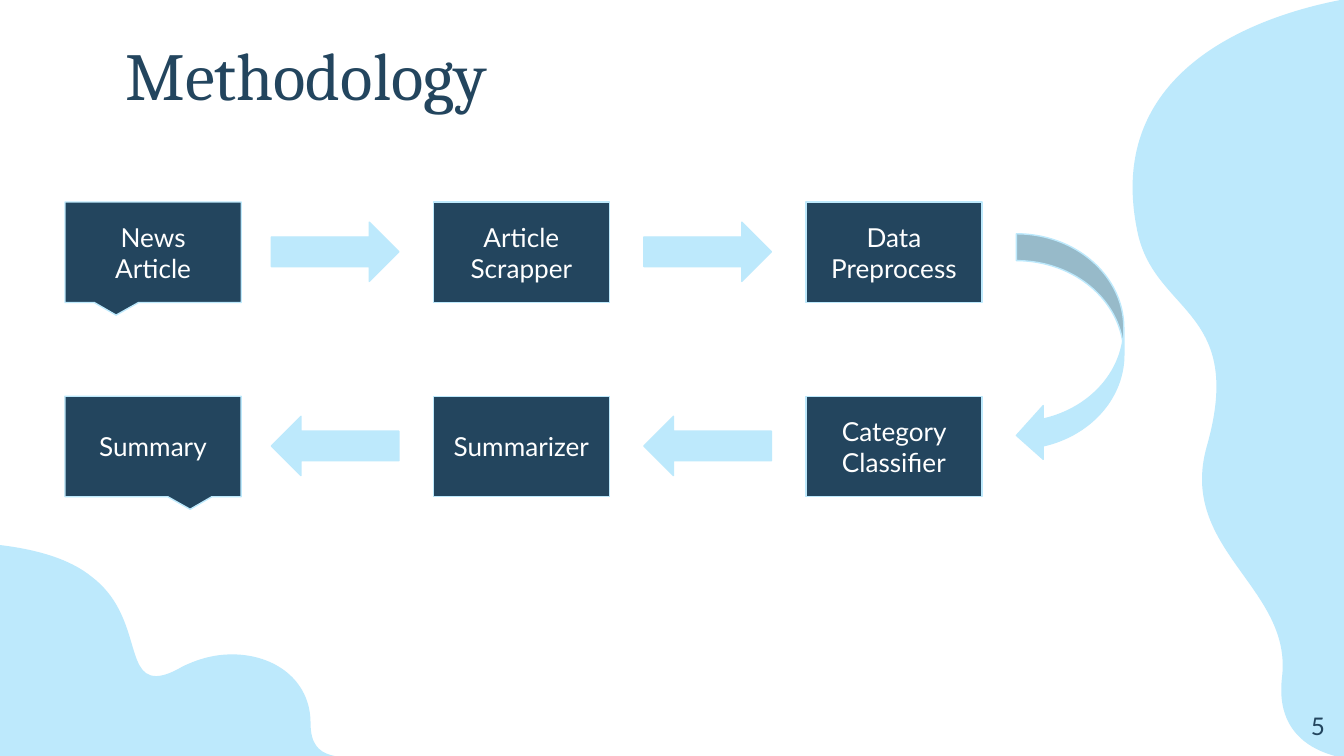
from lxml import etree
from pptx import Presentation
from pptx.dml.color import RGBColor
from pptx.enum.shapes import MSO_SHAPE
from pptx.enum.text import MSO_ANCHOR, PP_ALIGN
from pptx.oxml.ns import qn
from pptx.util import Cm, Pt

RECTANGLE, CALLOUT = MSO_SHAPE.RECTANGLE, MSO_SHAPE.RECTANGULAR_CALLOUT
RIGHT_ARROW, CURVED_ARROW = MSO_SHAPE.RIGHT_ARROW, MSO_SHAPE.CURVED_LEFT_ARROW
TOP, MIDDLE = MSO_ANCHOR.TOP, MSO_ANCHOR.MIDDLE
LEFT, CENTER, RIGHT = PP_ALIGN.LEFT, PP_ALIGN.CENTER, PP_ALIGN.RIGHT

NAVY = RGBColor(0x23, 0x45, 0x5E)
SKY = RGBColor(0xBD, 0xE9, 0xFC)
WHITE = RGBColor(0xFF, 0xFF, 0xFF)
HEADING_FONT, BODY_FONT = "Cambria", "Lato"
INSET = Cm(0.25)
TITLE_ONLY = 5

# Outlines in centimetres: one point is a line, three points are a Bézier curve.
RIGHT_WAVE = [
    [(26.01, -0.1)],
    [(26.01, -0.1), (20.68, 0.33), (21.49, 4.34)],
    [(21.79, 5.94), (23.55, 5.82), (22.81, 8.43)],
    [(22.25, 10.39), (24.43, 11.1), (24.23, 12.8)],
    [(24.05, 14.3), (25.55, 14.38), (25.93, 14.38)],
    [(25.98, 14.38), (26.01, 14.38), (26.01, 14.38)],
    [(26.01, -0.1)],
]
LEFT_WAVE = [
    [(-1.22, 10.24)],
    [(-2.08, 10.24), (-2.79, 10.31), (-2.79, 10.31)],
    [(-0.69, 15.01)],
    [(6.96, 15.01)],
    [(7.32, 15.01), (7.39, 14.5), (7.04, 14.4)],
    [(6.48, 14.25), (5.87, 14.45), (5.87, 13.67)],
    [(5.87, 12.85), (5.18, 12.37), (4.39, 12.37)],
    [(4.06, 12.37), (3.76, 12.45), (3.45, 12.6)],
    [(3.23, 12.73), (3.07, 12.78), (2.95, 12.78)],
    [(2.36, 12.78), (2.67, 11.61), (1.73, 10.9)],
    [(1.04, 10.34), (-0.2, 10.24), (-1.22, 10.24)],
]

FLOW = [
    ["News\nArticle", "Article\nScrapper", "Data\nPreprocess"],
    ["Summary", "Summarizer", "Category Classifier"],
]
STEP_OFFSETS = (Cm(0), Cm(6.96), Cm(14))
ARROW_OFFSETS = (Cm(3.9), Cm(10.94))


def bend_segments(wave, segments):
    """Turn each run of three straight lines of a curved segment into one Bézier curve."""
    lines = iter(list(wave.element.iter(qn("a:lnTo"))))
    for segment in segments:
        parts = [next(lines) for _ in segment]
        if len(parts) == 3:
            curve = etree.Element(qn("a:cubicBezTo"))
            parts[0].addprevious(curve)
            for part in parts:
                curve.append(part[0])
                part.getparent().remove(part)


def add_wave(page, outline, left, top):
    places = [(left + Cm(x), top + Cm(y)) for segment in outline for x, y in segment]
    builder = page.shapes.build_freeform(*places[0])
    builder.add_line_segments(places[1:], close=True)
    wave = builder.convert_to_shape()
    bend_segments(wave, outline[1:])
    wave.shadow.inherit = False
    wave.fill.solid()
    wave.fill.fore_color.rgb = SKY
    wave.line.fill.background()


def write(shape, text, size, font, color, align, anchor):
    frame = shape.text_frame
    frame.word_wrap = True
    frame.vertical_anchor = anchor
    frame.margin_left = frame.margin_right = INSET
    frame.margin_top = frame.margin_bottom = INSET
    frame.text = text
    for para in frame.paragraphs:
        para.alignment = align
        para.font.size = Pt(size)
        para.font.name = font
        para.font.color.rgb = color


def add_outlined(page, kind, fill, left, top, width, height, adjustments=()):
    shape = page.shapes.add_shape(kind, left, top, width, height)
    shape.shadow.inherit = False
    shape.fill.solid()
    shape.fill.fore_color.rgb = fill
    shape.line.color.rgb = SKY
    shape.line.width = Pt(0.75)
    for index, value in enumerate(adjustments):
        shape.adjustments[index] = value
    return shape


def mirror(shape):
    shape.element.spPr.find(qn("a:xfrm")).set("flipH", "1")


def place_title(page, left, top, width, height):
    title = page.shapes.title
    title.left, title.top, title.width, title.height = left, top, width, height
    write(title, "Methodology", 36, HEADING_FONT, NAVY, LEFT, TOP)
    title.text_frame.paragraphs[0].line_spacing = 0.8


def add_flow_row(page, labels, mirrored, left, top):
    """Three steps with arrows between them; a mirrored row runs right to left."""
    directed = []
    for offset, label in zip(STEP_OFFSETS, labels):
        is_end = offset == 0
        step = add_outlined(page, CALLOUT if is_end else RECTANGLE, NAVY,
                            left + offset, top, Cm(3.33), Cm(1.9),
                            (-0.21, 0.625) if is_end else ())
        write(step, label, 14, BODY_FONT, WHITE, CENTER, MIDDLE)
        if is_end:
            directed.append(step)
    for offset in ARROW_OFFSETS:
        directed.append(add_outlined(page, RIGHT_ARROW, SKY, left + offset, top + Cm(0.38),
                                     Cm(2.41), Cm(1.12), (0.5, 0.5)))
    if mirrored:
        for shape in directed:
            mirror(shape)


def add_flow(page, left, top):
    for row, labels in enumerate(FLOW):
        add_flow_row(page, labels, row == 1, left, top + row * Cm(3.67))
    add_outlined(page, CURVED_ARROW, SKY, left + Cm(17.98), top + Cm(0.6),
                 Cm(2.03), Cm(4.32), (0.25, 0.5, 0.25))


def add_page_number(page, number, left, top, width, height):
    box = page.shapes.add_textbox(left, top, width, height)
    write(box, str(number), 13, BODY_FONT, NAVY, RIGHT, TOP)


def main():
    deck = Presentation()
    deck.slide_width, deck.slide_height = Cm(25.4), Cm(14.29)
    page = deck.slides.add_slide(deck.slide_layouts[TITLE_ONLY])
    for outline in (RIGHT_WAVE, LEFT_WAVE):
        add_wave(page, outline, Cm(0), Cm(0))
    place_title(page, Cm(2.12), Cm(0.68), Cm(12.09), Cm(2.26))
    add_flow(page, Cm(1.23), Cm(3.82))
    add_page_number(page, 5, Cm(23.77), Cm(13.2), Cm(1.52), Cm(1.09))
    deck.save("out.pptx")


if __name__ == "__main__":
    main()
